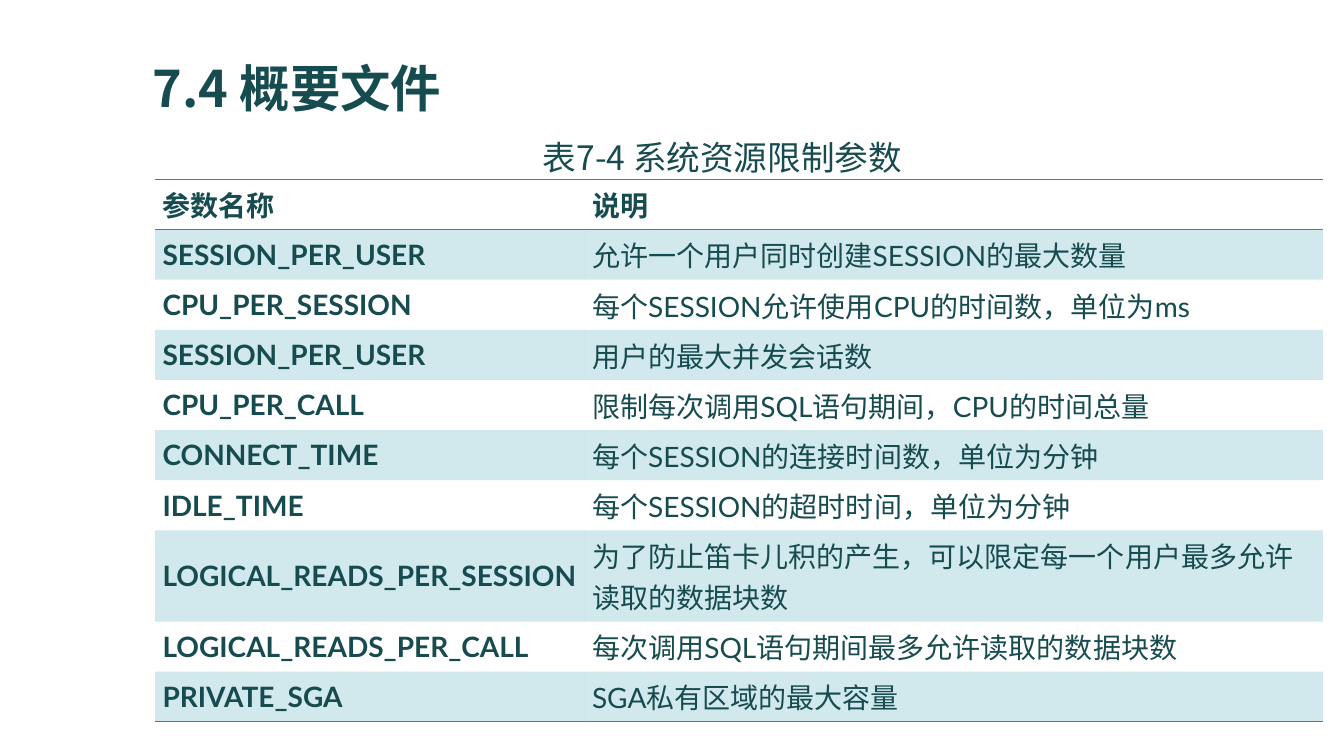
from dataclasses import dataclass

from lxml.etree import SubElement
from pptx import Presentation
from pptx.dml.color import RGBColor
from pptx.enum.text import MSO_ANCHOR as Anchor, PP_ALIGN as Align
from pptx.oxml import parse_xml
from pptx.oxml.ns import nsdecls, qn
from pptx.util import Inches, Length, Pt

COLOURS = {"ink": "164B4F", "teal": "1B91A1"}
LATIN, CJK = "Lato", "Noto Sans CJK SC"
WIDTH, HEIGHT = Inches(13.33), Inches(7.5)


@dataclass(frozen=True)
class Area:
    """A box in percent of the slide's width and height."""
    left: float
    top: float
    width: float
    height: float


@dataclass(frozen=True)
class Parameter:
    name: str
    meaning: str
    lines: int = 1


TITLE = Area(10.58, 2.8, 78.77, 13.6)
CAPTION = Area(7.5, 16.4, 92.5, 26.27)
TABLE = Area(11.55, 23.73, 86.87, 71.74)
COLUMN_SHARES = (31.96, 54.91)
ROW_SHARES = {1: 6.63, 2: 12.07}

PARAMETERS = [
    Parameter("参数名称", "说明"),
    Parameter("SESSION_PER_USER", "允许一个用户同时创建SESSION的最大数量"),
    Parameter("CPU_PER_SESSION", "每个SESSION允许使用CPU的时间数，单位为ms"),
    Parameter("SESSION_PER_USER", "用户的最大并发会话数"),
    Parameter("CPU_PER_CALL", "限制每次调用SQL语句期间，CPU的时间总量"),
    Parameter("CONNECT_TIME", "每个SESSION的连接时间数，单位为分钟"),
    Parameter("IDLE_TIME", "每个SESSION的超时时间，单位为分钟"),
    Parameter("LOGICAL_READS_PER_SESSION",
              "为了防止笛卡儿积的产生，可以限定每一个用户最多允许读取的数据块数", 2),
    Parameter("LOGICAL_READS_PER_CALL", "每次调用SQL语句期间最多允许读取的数据块数"),
    Parameter("PRIVATE_SGA", "SGA私有区域的最大容量"),
]


def across(percent: float) -> Length:
    return Length(round(WIDTH * percent / 100))


def down(percent: float) -> Length:
    return Length(round(HEIGHT * percent / 100))


def bounds(area: Area) -> tuple[Length, Length, Length, Length]:
    return across(area.left), down(area.top), across(area.width), down(area.height)


def write(frame, text: str, size: float, face: str, bold: bool = False,
          align: Align = Align.LEFT, spacing: float = 1.0) -> None:
    frame.word_wrap = True
    paragraph = frame.paragraphs[0]
    run = paragraph.add_run()
    run.text = text
    paragraph.alignment = align
    paragraph.line_spacing = spacing
    font = paragraph.font
    font.size, font.name, font.bold = Pt(size), face, bold
    font.color.rgb = RGBColor.from_string(COLOURS["ink"])
    # The East Asian face has to be set on the run itself
    SubElement(run.font._element, qn("a:ea"), typeface=CJK)


def rule_cell(cell, side: str) -> None:
    """Draw a border on the top (T) or bottom (B) of a cell."""
    line = parse_xml(
        f'<a:ln{side} {nsdecls("a")} w="{Pt(1)}"><a:solidFill>'
        f'<a:srgbClr val="{COLOURS["teal"]}"/></a:solidFill></a:ln{side}>')
    cell._tc.get_or_add_tcPr().insert(0, line)


def tint_cell(cell) -> None:
    cell.fill.solid()
    cell.fill.fore_color.rgb = RGBColor.from_string(COLOURS["teal"])
    colour = cell._tc.tcPr.find(".//" + qn("a:srgbClr"))
    SubElement(colour, qn("a:alpha"), val="20000")


def add_parameter_table(slide) -> None:
    table = slide.shapes.add_table(len(PARAMETERS), len(COLUMN_SHARES), *bounds(TABLE)).table
    plain_style = "{2D5ABB26-0587-4C30-8999-92F81FD0307C}"
    table._tbl.tblPr.find(qn("a:tableStyleId")).text = plain_style
    table.horz_banding = False
    for column, share in zip(table.columns, COLUMN_SHARES):
        column.width = across(share)
    last = len(PARAMETERS) - 1
    for index, parameter in enumerate(PARAMETERS):
        row = table.rows[index]
        row.height = down(ROW_SHARES[parameter.lines])
        for column, text in enumerate((parameter.name, parameter.meaning)):
            cell = row.cells[column]
            cell.vertical_anchor = Anchor.MIDDLE
            cell.margin_left = cell.margin_right = Pt(5.2)
            cell.margin_top = cell.margin_bottom = Pt(3.4)
            write(cell.text_frame, text, 20, LATIN, bold=index == 0 or column == 0)
            if index % 2:
                tint_cell(cell)
            else:
                cell.fill.background()
            if index in (0, last):
                rule_cell(cell, "B")
            if index == 0:
                rule_cell(cell, "T")


def main() -> None:
    deck = Presentation()
    deck.slide_width, deck.slide_height = WIDTH, HEIGHT
    slide = deck.slides.add_slide(deck.slide_layouts[5])

    title = slide.shapes.title
    title.left, title.top, title.width, title.height = bounds(TITLE)
    title.text_frame.vertical_anchor = Anchor.BOTTOM
    write(title.text_frame, "7.4 概要文件", 36, CJK, bold=True, spacing=0.9)

    caption = slide.shapes.add_textbox(*bounds(CAPTION))
    write(caption.text_frame, "表7-4 系统资源限制参数", 24, CJK,
          align=Align.CENTER, spacing=1.2)

    add_parameter_table(slide)
    deck.save("out.pptx")


if __name__ == "__main__":
    main()
